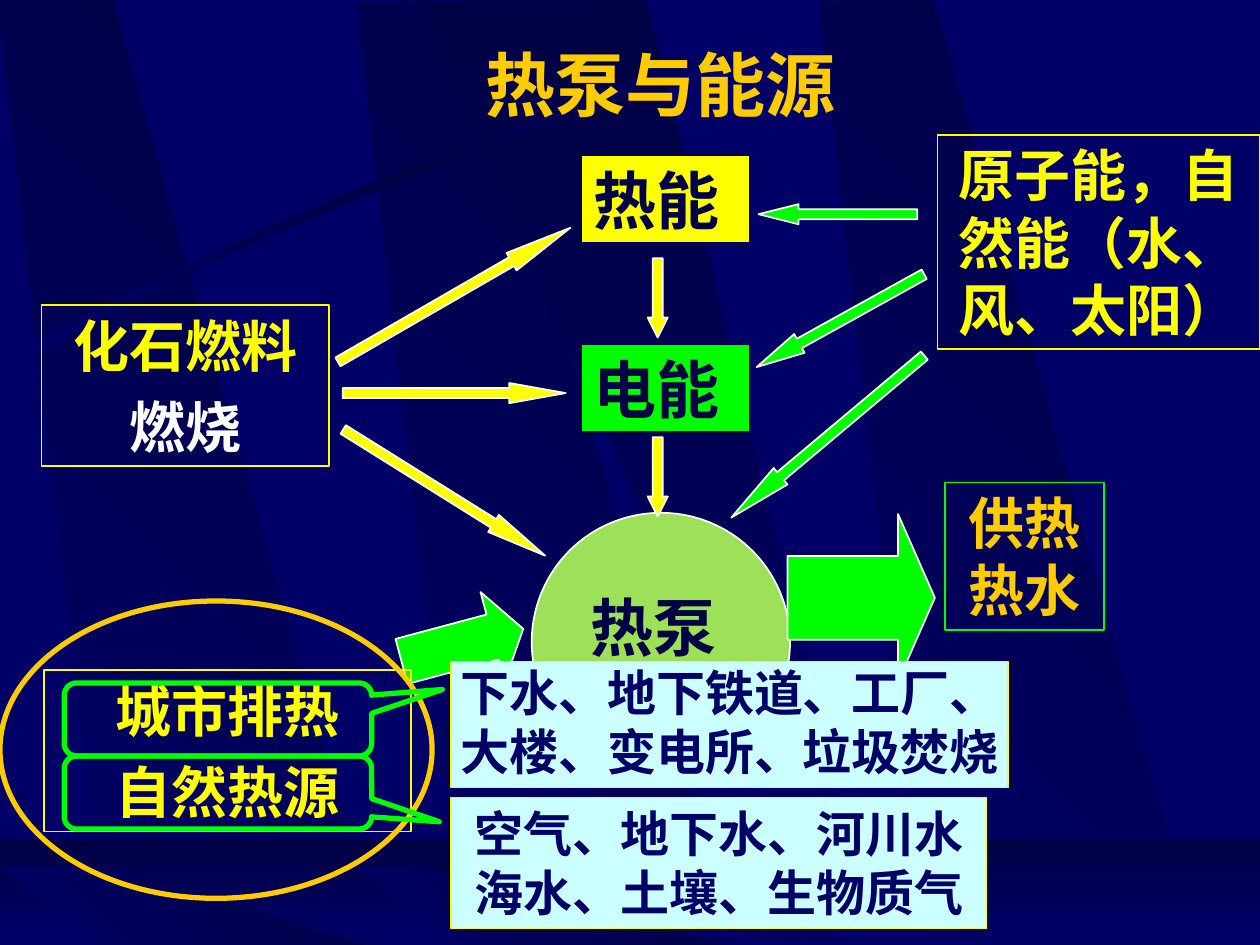
"""Build the slide on heat pumps and energy sources on a 100 by 75 grid."""
from copy import deepcopy
from pptx import Presentation
from pptx.dml.color import RGBColor
from pptx.enum.shapes import MSO_SHAPE
from pptx.enum.text import MSO_ANCHOR, PP_ALIGN
from pptx.oxml.ns import qn
from pptx.util import Inches, Pt

RECT, OVAL = MSO_SHAPE.RECTANGLE, MSO_SHAPE.OVAL
RIGHT, DOWN = MSO_SHAPE.RIGHT_ARROW, MSO_SHAPE.DOWN_ARROW
CALL = MSO_SHAPE.ROUNDED_RECTANGULAR_CALLOUT
TOP, LEFT, MID = MSO_ANCHOR.TOP, PP_ALIGN.LEFT, PP_ALIGN.CENTER

theme = {
    "navy": "000066", "dark": "000044", "gold": "FFCC00", "yellow": "FFFF00",
    "green": "00FF00", "lime": "9CE157", "ice": "CCFFFF", "white": "FFFFFF",
    "title": 40, "node": 36, "label": 32, "note": 28,
    "sans": "Noto Sans CJK SC", "serif": "Times New Roman",
}
tint = {k: RGBColor.from_string(v) for k, v in theme.items()
        if isinstance(v, str) and len(v) == 6}

deck = Presentation()
deck.slide_width, deck.slide_height = Inches(10), Inches(7.5)
cell = deck.slide_width // 100
slide = deck.slides.add_slide(deck.slide_layouts[6])
slide.background.fill.solid()
slide.background.fill.fore_color.rgb = tint["navy"]


def draw(kind, spot, fill=None, line=None, wide=1, turn=0, adj=()):
    """Add a preset shape at a grid spot."""
    shape = slide.shapes.add_shape(kind, *[round(v * cell) for v in spot])
    shape.shadow.inherit = False
    shape.rotation = turn
    for i, v in enumerate(adj):
        shape.adjustments[i] = v
    if fill:
        shape.fill.solid()
        shape.fill.fore_color.rgb = tint[fill]
    else:
        shape.fill.background()
    if line:
        shape.line.color.rgb = tint[line]
        shape.line.width = Pt(wide)
    else:
        shape.line.fill.background()
    return shape


def write(shape, rows, size, align=MID, face="serif", pad=1):
    """Fill a shape with bold rows of (words, colour)."""
    frame = shape.text_frame
    frame.word_wrap = True
    frame.vertical_anchor = TOP
    frame.margin_left = frame.margin_right = round(pad * cell)
    frame.margin_top = round(0.5 * cell) if pad == 1 else round(0.1 * cell)
    for i, (words, hue) in enumerate(rows):
        para = frame.paragraphs[0] if i == 0 else frame.add_paragraph()
        para.alignment = align
        if i:
            para.space_before = Pt(8)
        run = para.add_run()
        run.text = words
        run.font.name = theme[face]
        run.font.size = Pt(theme[size])
        run.font.bold = True
        run.font.color.rgb = tint[hue]


# BACKDROP
band = [(8.6, 75), (30.2, 75.1), (9.1, -0.1), (0, 0)]
slope = [(0, 0.1), (32.5, 75.1), (36.1, 75.1), (18, 0)]
base = [(8.6, 6.6), (30.2, 6.6), (9.1, 0), (0, 0)]
ramp = [(0, 0), (32.5, 6.6), (36.1, 6.6), (18, 0)]
curves = [[(2, 27.5), (28.4, 13.4), (52.4, 5.9), (62.6, 1.8)],
          [(62.9, 2.4), (52.8, 6.9), (25.4, 15.1), (2.3, 28.5)]]
arc = []
for curve in curves:
    for n in range(21):
        t = n / 20
        part = [(1 - t) ** 3, 3 * t * (1 - t) ** 2, 3 * t * t * (1 - t), t ** 3]
        arc.append([sum(w * p[i] for w, p in zip(part, curve)) for i in (0, 1)])
floor = [(0, 0), (100, 0), (100, 7.5), (0, 7.5)]

fade, rise = ("navy", "dark"), ("dark", "navy")
scene = [
    (band, 28.3, 0.2, fade, 45), (band, -0.2, 0, fade, 45),
    (band, 65, 0.1, fade, 45), (slope, 33.3, 0, rise, 270),
    (arc, 0, 0, ("navy", "dark", "navy"), 0), (floor, 0, 66.7, rise, 270),
    (base, 28.3, 68.8, fade, 45), (base, 0, 68.8, fade, 45),
    (ramp, 33.3, 68.8, rise, 270),
]
for outline, x, y, hues, angle in scene:
    dots = [((x + a) * cell, (y + b) * cell) for a, b in outline]
    path = slide.shapes.build_freeform(*dots[0])
    path.add_line_segments(dots[1:], close=True)
    shape = path.convert_to_shape()
    shape.shadow.inherit = False
    shape.line.fill.background()
    shape.fill.gradient()
    shape.fill.gradient_angle = angle
    stops = shape.fill.gradient_stops
    if len(hues) > len(stops):
        first = next(shape._element.iter(qn("a:gs")))
        first.addnext(deepcopy(first))
        stops = shape.fill.gradient_stops
    for i, (stop, hue) in enumerate(zip(stops, hues)):
        stop.position = i / (len(hues) - 1)
        stop.color.rgb = tint[hue]

title = slide.shapes.add_textbox(*[round(v * cell) for v in (13, 2.8, 78.8, 7.7)])
write(title, [("热泵与能源", "gold")], "title", face="sans")

heat = draw(RECT, (75, 38.3, 12.6, 11.7), line="green")
write(heat, [("供热热水", "gold")], "label")

draw(OVAL, (42.2, 40.7, 20.5, 20.5), "lime", "white")
pump = slide.shapes.add_textbox(*[round(v * cell) for v in (45.9, 46.2, 24.5, 7)])
write(pump, [("热泵", "dark")], "node", LEFT)
draw(RIGHT, (62.5, 40.8, 11.7, 13.3), "green", "white", adj=(0.5, 0.25))

fuel = draw(RECT, (3.3, 24.2, 22.8, 12.8), line="yellow")
write(fuel, [("化石燃料", "yellow"), ("燃烧", "white")], "label")

for words, y, hue in (("热能", 12.3, "yellow"), ("电能", 27.3, "green")):
    node = draw(RECT, (46.1, y, 13.4, 7), hue, "dark")
    write(node, [(words, "dark")], "node", LEFT)
for y in (20.5, 34.7):
    draw(DOWN, (51.4, y, 1.6, 6.3), "yellow", "white", adj=(0.5, 1))

power = draw(RECT, (74.4, 10.7, 25.6, 17), line="yellow")
write(power, [("原子能，自然能（水、风、太阳）", "yellow")], "label")

flows = [
    ((25.4, 22.6, 21.3, 1.6), 330, 3.37, "yellow"),
    ((27.2, 30.4, 17.7, 1.6), 0, 2.8, "yellow"),
    ((25.8, 38.3, 18.9, 1.6), 32, 3.02, "yellow"),
    ((60.2, 16.2, 12.6, 1.6), 180, 1.99, "green"),
    ((59.1, 24.6, 15.2, 1.7), 151, 2.28, "green"),
    ((55.7, 33.8, 20, 1.7), 140, 3, "green"),
    ((31.7, 47.5, 10, 7.4), 345, 0.34, "green"),
]
for spot, turn, head, hue in flows:
    draw(RIGHT, spot, hue, "white", turn=turn, adj=(0.5, head))

source = draw(RECT, (3.5, 53.2, 29.1, 12.8), line="yellow")
write(source, [("城市排热", "yellow"), ("自然热源", "yellow")], "label")
draw(OVAL, (0, 47.7, 34.3, 23.6), line="gold", wide=3)

notes = [
    ("下水、地下铁道、工厂、大楼、变电所、垃圾焚烧",
     (35.8, 52.5, 44.2, 10), 0.4, 54.2, (0.73, -0.41, 0.17)),
    ("空气、地下水、河川水海水、土壤、生物质气",
     (35.8, 63.3, 42.5, 10.4), 1, 60, (0.72, 0.4, 0.17)),
]
for words, spot, pad, y, adj in notes:
    note = draw(RECT, spot, "ice", "yellow")
    write(note, [(words, "navy")], "note", pad=pad)
    draw(CALL, (5.1, y, 24.4, 5.8), line="green", wide=3, adj=adj)

deck.save("out.pptx")
